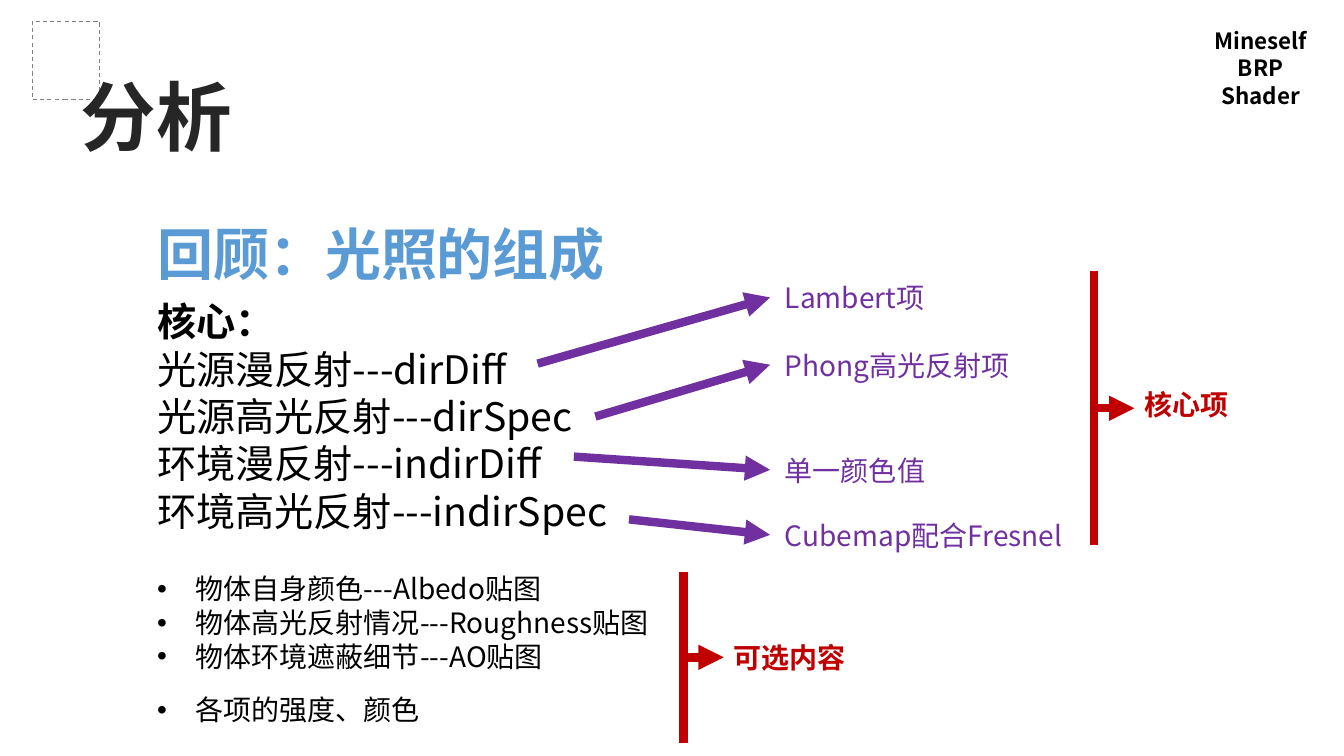
"""Build the slide that reviews the parts of lighting; lengths are percent of the slide."""
from dataclasses import dataclass

from lxml import etree
from pptx import Presentation
from pptx.dml.color import RGBColor
from pptx.enum.dml import MSO_LINE
from pptx.enum.shapes import MSO_CONNECTOR, MSO_SHAPE
from pptx.enum.text import PP_ALIGN
from pptx.oxml.ns import qn
from pptx.util import Emu, Inches, Pt

DASH = MSO_LINE.DASH
STRAIGHT = MSO_CONNECTOR.STRAIGHT
RECT = MSO_SHAPE.RECTANGLE
LEFT, CENTER = PP_ALIGN.LEFT, PP_ALIGN.CENTER


@dataclass(frozen=True)
class Theme:
    """Hold the colours, type sizes and line widths."""
    font: str = "Noto Sans CJK JP"
    black: str = "000000"
    dark: str = "262626"
    grey: str = "808080"
    blue: str = "5B9BD5"
    purple: str = "7030A0"
    red: str = "C00000"
    title: int = 54
    head: int = 40
    lead: int = 28
    body: int = 20
    tag: int = 16
    pitch: float = 1.21
    thin: float = 0.75
    thick: float = 6


@dataclass(frozen=True)
class Term:
    """Link a light part to its model."""
    name: str
    x: float
    y: float
    top: float


@dataclass(frozen=True)
class Group:
    """Mark a range of rows with a bar and a label."""
    name: str
    x: float
    top: float
    end: float
    label: float


THEME = Theme()
EDGE = 11.7
ROW = 4.5
TIP = 57.3
NOTE = 58.4
TERMS = (
    Term("Lambert项", 40, 48.1, 37.1),
    Term("Phong高光反射项", 44.3, 55.1, 46),
    Term("单一颜色值", 42.7, 60.4, 59.9),
    Term("Cubemap配合Fresnel", 46.8, 68.7, 68.5),
)
GROUPS = (
    Group("核心项", 81.4, 35.9, 72.1, 51.2),
    Group("可选内容", 50.85, 75.6, 98.3, 84.7),
)
CORE = ("核心：", "光源漫反射---dirDiff", "光源高光反射---dirSpec",
        "环境漫反射---indirDiff", "环境高光反射---indirSpec")
EXTRAS = ("物体自身颜色---Albedo贴图", "物体高光反射情况---Roughness贴图",
          "物体环境遮蔽细节---AO贴图")

deck = Presentation()
deck.slide_width, deck.slide_height = Inches(13.33), Inches(7.5)
slide = deck.slides.add_slide(deck.slide_layouts[6])


def across(share: float) -> Emu:
    """Turn a percent of the width into a length."""
    return Emu(round(deck.slide_width * share / 100))


def down(share: float) -> Emu:
    """Turn a percent of the height into a length."""
    return Emu(round(deck.slide_height * share / 100))


def write(x: float, y: float, wide: float, high: float, *lines: str,
          size: int = THEME.body, color: str = THEME.black, bold: int = 0,
          align: PP_ALIGN = LEFT, bullet: bool = False) -> None:
    """Add a text box whose first `bold` lines are bold."""
    box = slide.shapes.add_textbox(across(x), down(y), across(wide), down(high))
    frame = box.text_frame
    frame.word_wrap = True
    frame.margin_left = frame.margin_right = 0
    frame.margin_top = frame.margin_bottom = 0
    for i, line in enumerate(lines):
        para = frame.paragraphs[0] if i == 0 else frame.add_paragraph()
        para.alignment = align
        para.line_spacing = Pt(size * THEME.pitch)
        run = para.add_run()
        run.text = line
        font = run.font
        font.name, font.size, font.bold = THEME.font, Pt(size), i < bold
        font.color.rgb = RGBColor.from_string(color)
        east = etree.SubElement(run._r.get_or_add_rPr(), qn("a:ea"))
        east.set("typeface", THEME.font)
        if bullet:
            props = para._p.get_or_add_pPr()
            props.set("marL", str(Inches(0.38)))
            props.set("indent", str(-Inches(0.38)))
            face = etree.SubElement(props, qn("a:buFont"))
            face.set("typeface", "Arial")
            etree.SubElement(props, qn("a:buChar")).set("char", "•")


def rule(x: float, y: float, to_x: float, to_y: float,
         color: str, arrow: bool = False) -> None:
    """Add a thick line, with an arrowhead if asked."""
    link = slide.shapes.add_connector(
        STRAIGHT, across(x), down(y), across(to_x), down(to_y))
    link.line.color.rgb = RGBColor.from_string(color)
    link.line.width = Pt(THEME.thick)
    if arrow:
        tail = etree.SubElement(link.line._get_or_add_ln(), qn("a:tailEnd"))
        tail.set("type", "triangle")
    etree.SubElement(link._element.spPr, qn("a:effectLst"))


def frame_mark() -> None:
    """Add the dashed box behind the title."""
    mark = slide.shapes.add_shape(
        RECT, across(2.4), down(2.8), across(5), down(10.4))
    mark.shadow.inherit = False
    mark.fill.background()
    mark.line.color.rgb = RGBColor.from_string(THEME.grey)
    mark.line.width = Pt(THEME.thin)
    mark.line.dash_style = DASH


def draw_term(term: Term) -> None:
    """Draw the arrow and the model name of a light part."""
    rule(term.x, term.y, TIP, term.top + ROW / 2, THEME.purple, arrow=True)
    write(NOTE, term.top, 31, ROW, term.name, color=THEME.purple)


def draw_group(group: Group) -> None:
    """Draw the bar, the arrow and the label of a group."""
    mid = (group.top + group.end) / 2
    rule(group.x, group.top, group.x, group.end, THEME.red)
    rule(group.x, mid, group.x + 3, mid, THEME.red, arrow=True)
    write(group.x + 3.75, group.label, 11.55, ROW, group.name,
          color=THEME.red, bold=1)


def main() -> None:
    """Draw all parts and save the deck."""
    frame_mark()
    write(6, 9.1, 44.85, 12.1, "分析",
          size=THEME.title, color=THEME.dark, bold=1)
    write(EDGE, 28.9, 40.35, 8.9, "回顾：光照的组成",
          size=THEME.head, color=THEME.blue, bold=1)
    write(EDGE, 39.3, 37, 31.5, *CORE, size=THEME.lead, bold=1)
    write(89.4, 3.6, 8.8, 10.8, "Mineself", "BRP", "Shader",
          size=THEME.tag, bold=3, align=CENTER)
    for term in TERMS:
        draw_term(term)
    write(EDGE, 75.6, 44.1, 13.5, *EXTRAS, bullet=True)
    write(EDGE, 91.6, 37, ROW, "各项的强度、颜色", bullet=True)
    for group in GROUPS:
        draw_group(group)
    deck.save("out.pptx")


if __name__ == "__main__":
    main()
